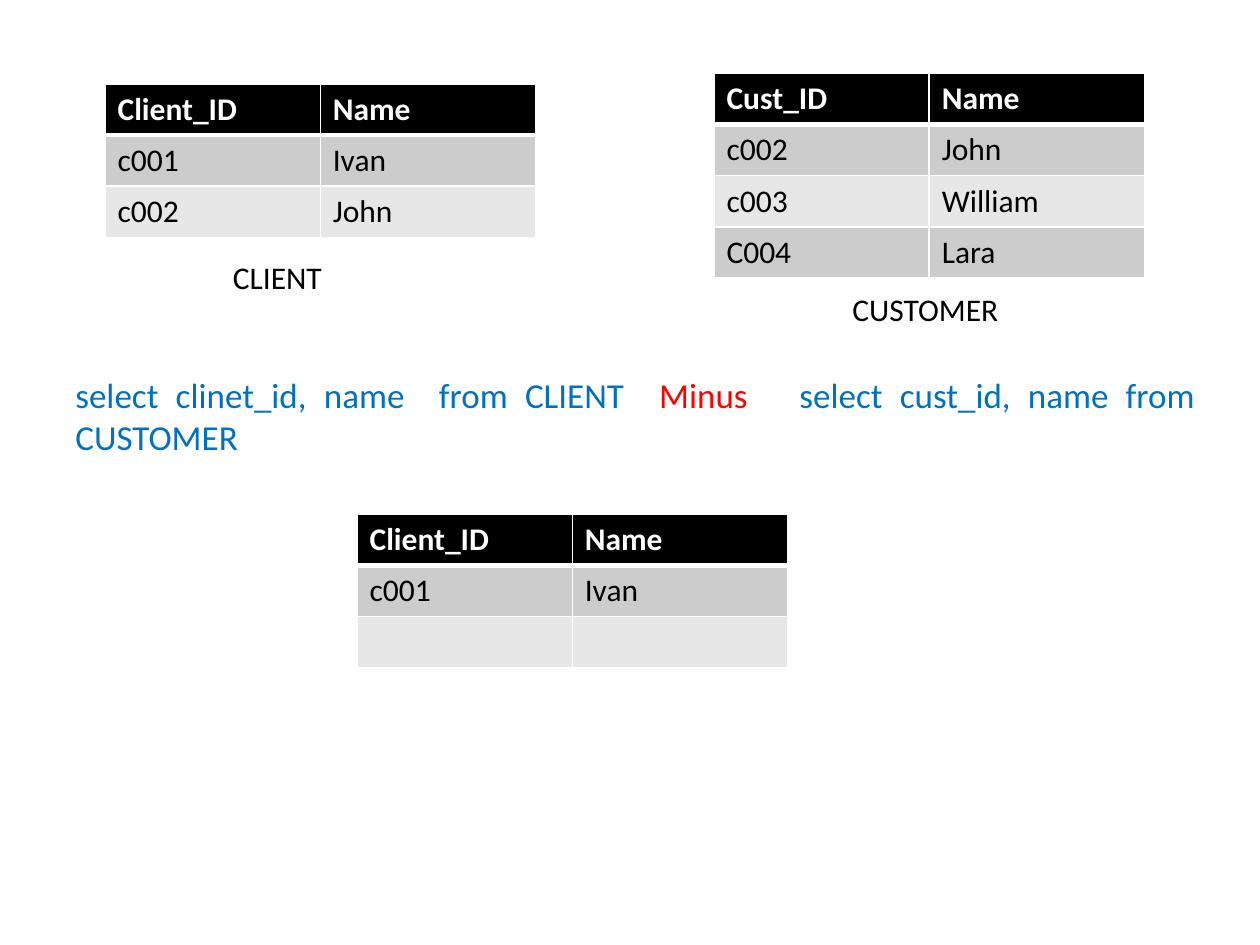
from lxml.etree import SubElement
from pptx import Presentation
from pptx.dml.color import RGBColor
from pptx.enum.text import MSO_AUTO_SIZE, PP_ALIGN
from pptx.oxml.ns import qn
from pptx.util import Pt

COLORS = {
    "black": "000000",
    "white": "FFFFFF",
    "odd": "CCCCCC",
    "even": "E7E7E7",
    "query": "0070C0",
    "operator": "FF0000",
}
COL_W, ROW_H = 123, 29.2


def add_text(p, text, size=18, color="black", bold=False):
    r = p.add_run()
    r.text = text
    r.font.name = "Calibri"
    r.font.size = Pt(size)
    r.font.bold = bold
    r.font.color.rgb = RGBColor.from_string(COLORS[color])


def add_border(cell, side, width):
    ln = SubElement(cell._tc.get_or_add_tcPr(), qn(f"a:ln{side}"), w=str(Pt(width)))
    fill = SubElement(ln, qn("a:solidFill"))
    SubElement(fill, qn("a:srgbClr"), val=COLORS["white"])


prs = Presentation()
prs.slide_width, prs.slide_height = Pt(720), Pt(540)
s = prs.slides.add_slide(prs.slide_layouts[6])

tables = [
    (60, 48, [("Client_ID", "Name"), ("c001", "Ivan"), ("c002", "John")]),
    (408, 42, [("Cust_ID", "Name"), ("c002", "John"), ("c003", "William"), ("C004", "Lara")]),
    (204, 294, [("Client_ID", "Name"), ("c001", "Ivan"), ("", "")]),
]
for left, top, rows in tables:
    table = s.shapes.add_table(
        len(rows), 2, Pt(left), Pt(top), Pt(2 * COL_W), Pt(ROW_H * len(rows))
    ).table
    for col in table.columns:
        col.width = Pt(COL_W)
    for i, values in enumerate(rows):
        table.rows[i].height = Pt(ROW_H)
        header = i == 0
        fill = "black" if header else "odd" if i % 2 else "even"
        for j, value in enumerate(values):
            cell = table.cell(i, j)
            for side in "LRTB":
                heavy = (header and side == "B") or (i == 1 and side == "T")
                add_border(cell, side, 3 if heavy else 1)
            cell.fill.solid()
            cell.fill.fore_color.rgb = RGBColor.from_string(COLORS[fill])
            if value:
                add_text(cell.text_frame.paragraphs[0], value,
                         color="white" if header else "black", bold=header)

texts = [
    (126, 144, 132, 29, 18, PP_ALIGN.LEFT, [("CLIENT", "black")]),
    (480, 162, 132, 29, 18, PP_ALIGN.LEFT, [("CUSTOMER", "black")]),
    (36, 210, 654, 55.7, 20, PP_ALIGN.JUSTIFY, [
        ("select clinet_id, name  from CLIENT  ", "query"),
        ("Minus", "operator"),
        ("   select cust_id, name from CUSTOMER", "query"),
    ]),
]
for left, top, width, height, size, align, runs in texts:
    tf = s.shapes.add_textbox(Pt(left), Pt(top), Pt(width), Pt(height)).text_frame
    tf.word_wrap = True
    tf.auto_size = MSO_AUTO_SIZE.SHAPE_TO_FIT_TEXT
    p = tf.paragraphs[0]
    p.alignment = align
    for text, color in runs:
        add_text(p, text, size=size, color=color)

prs.save("out.pptx")
